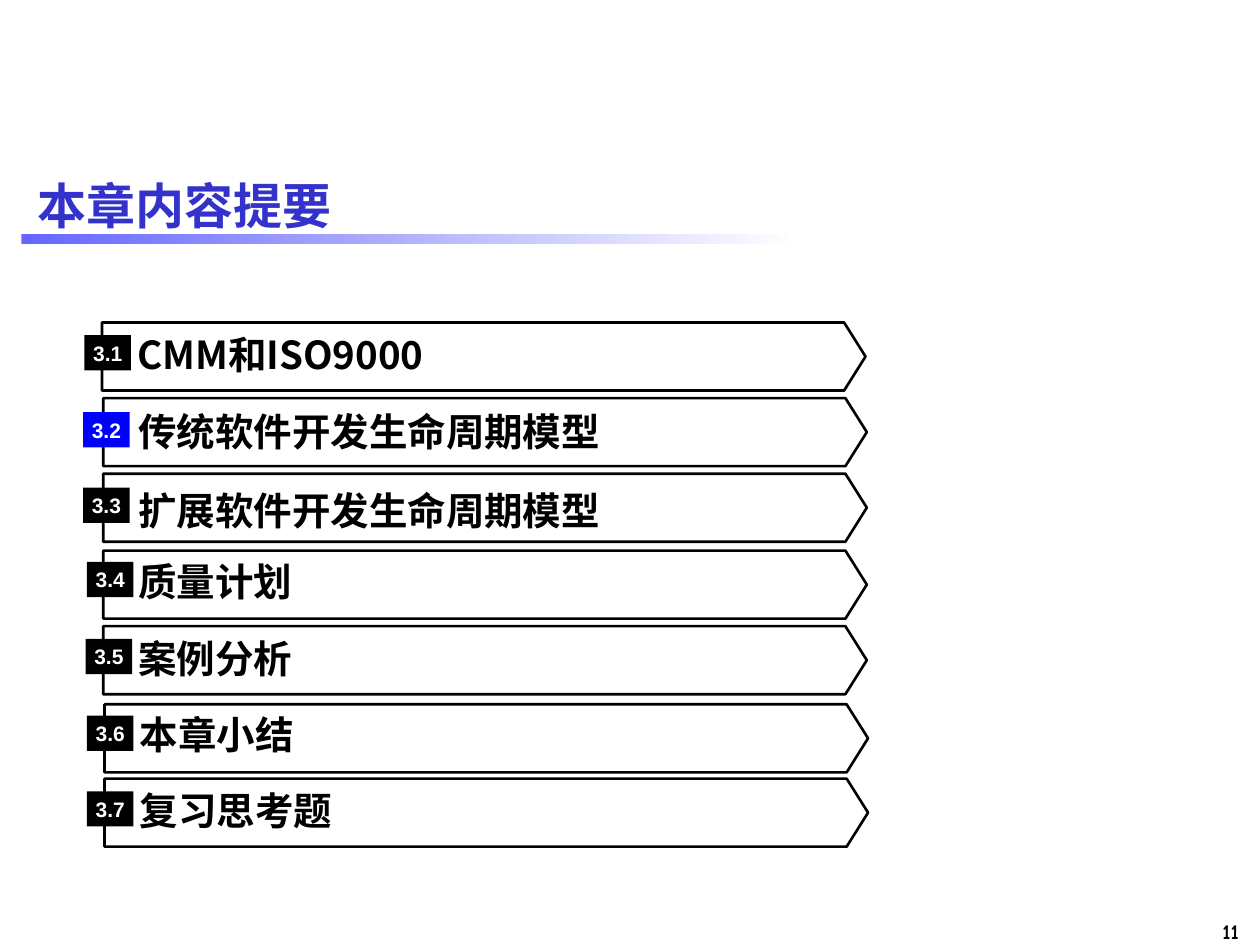
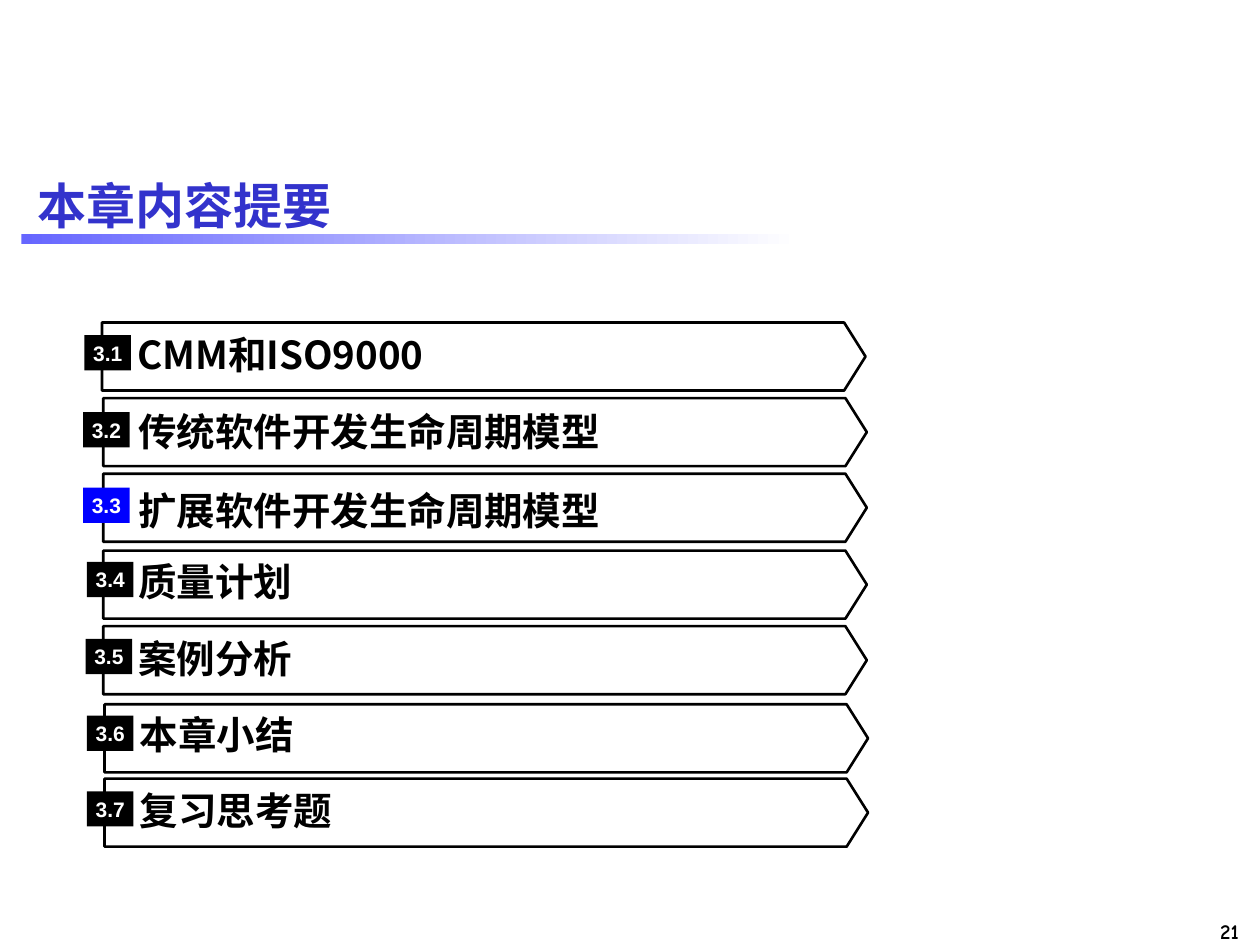
import pptx
import pptx.util
from pptx.dml.color import RGBColor
from pptx.enum.shapes import MSO_SHAPE
from pptx.enum.text import MSO_ANCHOR, MSO_AUTO_SIZE, PP_ALIGN
from pptx.oxml.ns import qn
from pptx.util import Inches
import lxml.etree as etree

BLACK, WHITE, BLUE = "000000", "FFFFFF", "0000FF"
TITLE_BLUE, BAND_BLUE = "3333CC", "6666FF"
CJK_FONT = "Noto Sans CJK SC"

ARROW_W, ARROW_H, ARROW_POINT = 6.06, 0.54, 0.17
TEXT_INDENT = 0.28

# number, heading, arrow left, arrow top, heading top, tag left, tag top
SECTIONS = [
    ("3.1", "CMM和ISO9000", 0.81, 2.56, 2.61, 0.67, 2.66),
    ("3.2", "传统软件开发生命周期模型", 0.82, 3.16, 3.22, 0.66, 3.27),
    ("3.3", "扩展软件开发生命周期模型", 0.82, 3.76, 3.85, 0.66, 3.87),
    ("3.4", "质量计划", 0.82, 4.37, 4.41, 0.69, 4.46),
    ("3.5", "案例分析", 0.82, 4.97, 5.02, 0.68, 5.07),
    ("3.6", "本章小结", 0.83, 5.59, 5.63, 0.69, 5.68),
    ("3.7", "复习思考题", 0.83, 6.18, 6.23, 0.69, 6.28),
]


def rgb(value):
    return RGBColor.from_string(value)


def write(sp, text, size, font, color, align=PP_ALIGN.LEFT, margins=(0, 0)):
    """Put one bold, vertically centred line into a shape."""
    tf = sp.text_frame
    tf.word_wrap = True
    tf.vertical_anchor = MSO_ANCHOR.MIDDLE
    tf.margin_left = tf.margin_right = Inches(margins[0])
    tf.margin_top = tf.margin_bottom = Inches(margins[1])
    p = tf.paragraphs[0]
    p.text = text
    p.alignment = align
    p.font.size = pptx.util.Pt(size)
    p.font.bold = True
    p.font.color.rgb = rgb(color)
    p.font.name = font
    defaults = p._p.pPr.find(qn("a:defRPr"))
    etree.SubElement(defaults, qn("a:ea"), typeface=CJK_FONT)


def add_text(s, box, *args, **kwargs):
    sp = s.shapes.add_textbox(*map(Inches, box))
    write(sp, *args, **kwargs)
    return sp


def add_rect(s, box):
    sp = s.shapes.add_shape(MSO_SHAPE.RECTANGLE, *map(Inches, box))
    sp.shadow.inherit = False
    sp.line.fill.background()
    return sp


def add_frame(s, title, page):
    """Draw the title, the fading band under it and the page number."""
    add_text(s, (9.01, 7.24, 0.92, 0.3), page, 12, "Comic Neue", BLACK,
             align=PP_ALIGN.RIGHT, margins=(0.1, 0.05))
    fill = add_rect(s, (0.17, 1.86, 6.17, 0.08)).fill
    fill.gradient()
    fill.gradient_angle = 0
    for stop, color in zip(fill.gradient_stops, (BAND_BLUE, WHITE)):
        stop.color.rgb = rgb(color)
    add_text(s, (0.2, 1.23, 9.61, 0.79), title, 28, "Arial", TITLE_BLUE,
             margins=(0.1, 0.05))


def add_arrow(s, left, top):
    right, bottom = left + ARROW_W, top + ARROW_H
    shoulder = right - ARROW_POINT
    points = [(shoulder, top), (right, top + ARROW_H / 2),
              (shoulder, bottom), (left, bottom)]
    fb = s.shapes.build_freeform(Inches(left), Inches(top))
    fb.add_line_segments([(Inches(x), Inches(y)) for x, y in points], close=True)
    sp = fb.convert_to_shape()
    sp.shadow.inherit = False
    sp.fill.background()
    sp.line.color.rgb = rgb(BLACK)
    sp.line.width = pptx.util.Pt(1.5)


def add_tag(s, left, top, number, color):
    sp = add_rect(s, (left, top, 0.37, 0.28))
    sp.fill.solid()
    sp.fill.fore_color.rgb = rgb(color)
    write(sp, number, 12, "Arial", WHITE, align=PP_ALIGN.CENTER)


def add_outline(s, current):
    """List the chapter's sections with the current one tagged in blue."""
    for number, heading, left, top, text_top, tag_left, tag_top in SECTIONS:
        add_arrow(s, left, top)
        sp = add_text(s, (left + TEXT_INDENT, text_top, 5.38, 0.4), heading,
                      22, CJK_FONT, BLACK)
        sp.text_frame.auto_size = MSO_AUTO_SIZE.SHAPE_TO_FIT_TEXT
        add_tag(s, tag_left, tag_top, number,
                BLUE if number == current else BLACK)


def main():
    prs = pptx.Presentation()
    prs.slide_width, prs.slide_height = Inches(10), Inches(7.5)
    for page, current in (("11", "3.2"), ("21", "3.3")):
        s = prs.slides.add_slide(prs.slide_layouts[6])
        add_frame(s, "本章内容提要", page)
        add_outline(s, current)
    prs.save("out.pptx")


if __name__ == "__main__":
    main()
